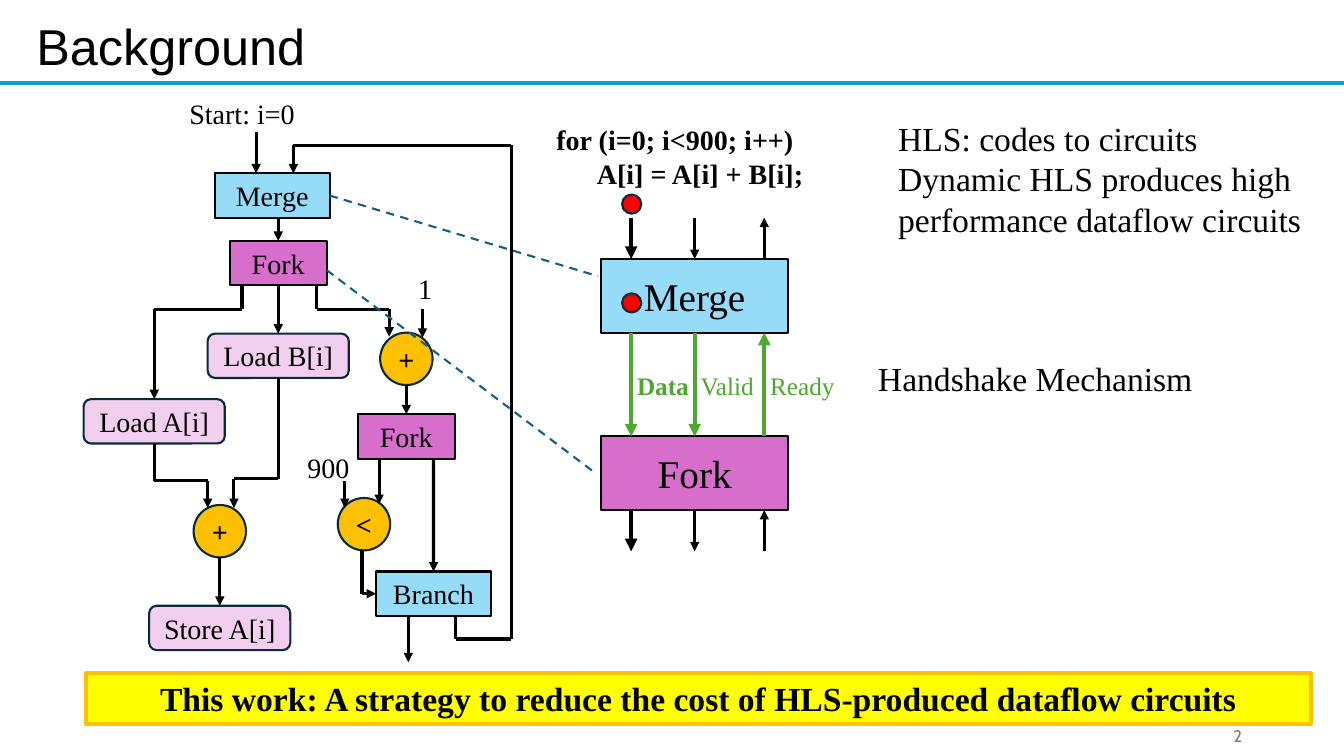
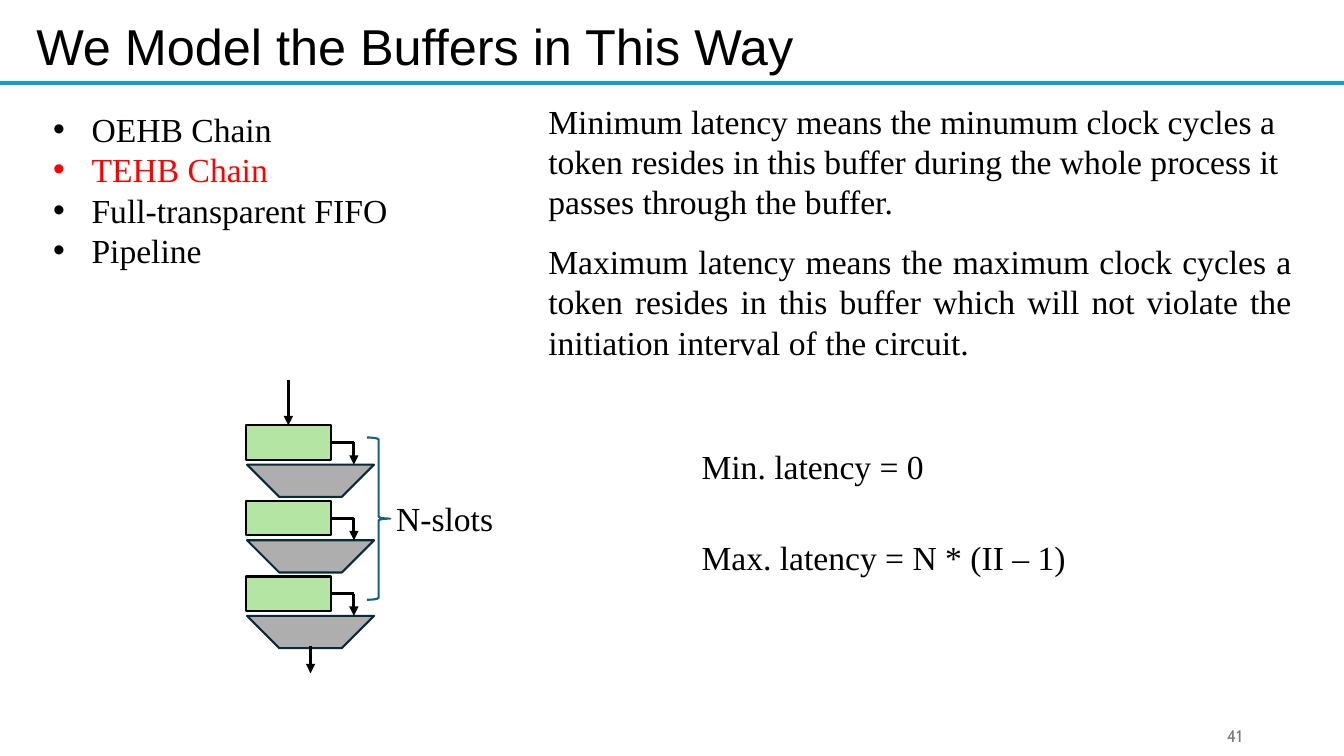
import pptx
import pptx.dml.color
import pptx.enum.dml
import pptx.enum.shapes
import pptx.enum.text
import pptx.oxml.ns
import pptx.util
from lxml import etree

Inches = pptx.util.Inches
Pt = pptx.util.Pt
KIND = pptx.enum.shapes.MSO_SHAPE
ALIGN = pptx.enum.text.PP_ALIGN
ANCHOR = pptx.enum.text.MSO_ANCHOR

# Shared look
SERIF = "Times New Roman"
BLACK, RED, GREEN, GREY = "000000", "FF0000", "4EA72E", "797979"
SKY, PLUM, PINK, GOLD = "96DCF8", "D86ECC", "F2CFEE", "FFC000"
NAVY, TEAL, RULE = "092A39", "156082", "0F9ED5"


def tint(code):
    return pptx.dml.color.RGBColor.from_string(code)


def add_tag(parent, name, **attrs):
    return etree.SubElement(parent, pptx.oxml.ns.qn("a:" + name), attrs)


def write(shape, lines, size=24, font=SERIF, color=BLACK, bold=False,
          align=ALIGN.LEFT, anchor=ANCHOR.TOP, lead=1.2, bullet=False, inset=0.1):
    """Fill a shape with lines, each a string or a (string, colour) pair."""
    frame = shape.text_frame
    frame.word_wrap = True
    frame.auto_size = pptx.enum.text.MSO_AUTO_SIZE.NONE
    frame.vertical_anchor = anchor
    frame.margin_left = frame.margin_right = Inches(inset)
    frame.margin_top = frame.margin_bottom = Inches(inset / 2)
    for i, line in enumerate([lines] if isinstance(lines, str) else lines):
        words, shade = (line, color) if isinstance(line, str) else line
        para = frame.paragraphs[0] if i == 0 else frame.add_paragraph()
        if bullet:
            props = para._p.get_or_add_pPr()
            props.set("marL", str(Inches(0.38)))
            props.set("indent", str(-Inches(0.38)))
            add_tag(props, "buFont", typeface="Arial")
            add_tag(props, "buChar", char="•")
        para.alignment = align
        if lead:
            para.line_spacing = Pt(lead * size)
        run = para.add_run()
        run.text = words
        run.font.name, run.font.size, run.font.bold = font, Pt(size), bold
        run.font.color.rgb = tint(shade)


def label(slide, box, lines, **look):
    shape = slide.shapes.add_textbox(*map(Inches, box))
    write(shape, lines, **look)
    return shape


def block(slide, kind, box, fill, line=BLACK, width=1.5, words=None, **look):
    shape = slide.shapes.add_shape(kind, *map(Inches, box))
    shape.shadow.inherit = False
    if fill:
        shape.fill.solid()
        shape.fill.fore_color.rgb = tint(fill)
    else:
        shape.fill.background()
    shape.line.color.rgb = tint(line)
    shape.line.width = Pt(width)
    if words:
        write(shape, words, align=ALIGN.CENTER, anchor=ANCHOR.MIDDLE, inset=0.02, **look)
    return shape


def route(slide, points, color=BLACK, width=2.25, head=True, dash=False,
          begin=None, end=None):
    """Draw straight runs through points; begin and end are (shape, site)."""
    last = len(points) - 2
    for i, (start, stop) in enumerate(zip(points, points[1:])):
        wire = slide.shapes.add_connector(
            pptx.enum.shapes.MSO_CONNECTOR.STRAIGHT, *map(Inches, start + stop))
        if begin and i == 0:
            wire.begin_connect(*begin)
        if end and i == last:
            wire.end_connect(*end)
        wire.line.color.rgb = tint(color)
        wire.line.width = Pt(width)
        if dash:
            wire.line.dash_style = pptx.enum.dml.MSO_LINE.DASH
        if head and i == last:
            add_tag(wire.line._get_or_add_ln(), "tailEnd", type="triangle")
        add_tag(wire._element.spPr, "effectLst")


def new_slide(deck, title, number):
    """Title, rule and page number."""
    slide = deck.slides.add_slide(deck.slide_layouts[5])
    head = slide.shapes.title
    head.left, head.top, head.width, head.height = map(Inches, (0.26, 0.1, 11.59, 0.71))
    write(head, title, size=36, font="Arial", lead=None)
    route(slide, [(0, 0.82), (13.33, 0.82)], RULE, 3, head=False)
    label(slide, (9.42, 7.1, 3, 0.4), number, size=12, font="Cabin", color=GREY,
          align=ALIGN.RIGHT, anchor=ANCHOR.MIDDLE, lead=None)
    return slide


def circuit(slide, x, y):
    """Dataflow graph of the loop; returns its nodes by name."""
    unit = (KIND.RECTANGLE, 1.14, 0.44, SKY, BLACK)
    split = (KIND.RECTANGLE, 0.96, 0.44, PLUM, BLACK)
    store = (KIND.ROUNDED_RECTANGLE, 1.4, 0.44, PINK, NAVY)
    maths = (KIND.OVAL, 0.52, 0.52, GOLD, NAVY)
    parts = {
        "merge": (unit, 1.33, 0.82, "Merge"),
        "fork": (split, 1.48, 1.49, "Fork"),
        "load_b": (store, 1.26, 2.41, "Load B[i]"),
        "load_a": (store, 0.03, 3.06, "Load A[i]"),
        "step": (maths, 2.97, 2.4, "+"),
        "fork2": (split, 2.75, 3.21, "Fork"),
        "less": (maths, 2.55, 4.04, "<"),
        "branch": (unit, 2.93, 4.77, "Branch"),
        "sum": (maths, 1.12, 4.11, "+"),
        "store": (store, 0.68, 5.11, "Store A[i]"),
    }
    nodes = {}
    for name, (style, dx, dy, words) in parts.items():
        kind, w, h, fill, line = style
        nodes[name] = block(slide, kind, (x + dx, y + dy, w, h), fill, line,
                            words=words, size=20, bold=style is maths)

    for dx, dy, w, words in ((0.98, 0.01, 1.5, "Start: i=0"),
                             (3.25, 1.74, 0.4, "1"), (2.15, 3.52, 0.7, "900")):
        label(slide, (x + dx, y + dy, w, 0.44), words, size=20)

    # Wires: points, joined start, joined end
    wires = [
        ([(1.74, 0.41), (1.74, 0.82)], None, None),
        ([(3.72, 5.21), (3.72, 5.44), (4.27, 5.44), (4.27, 0.54), (2.11, 0.54),
          (2.11, 0.82)], None, None),
        ([(3.25, 5.21), (3.25, 5.67)], None, None),
        ([(1.96, 1.26), (1.96, 1.49)], None, ("fork", 0)),
        ([(1.96, 1.93), (1.96, 2.41)], ("fork", 2), ("load_b", 0)),
        ([(1.6, 1.93), (1.6, 2.17), (0.73, 2.17), (0.73, 3.06)], None, ("load_a", 0)),
        ([(2.34, 1.93), (2.34, 2.17), (3.06, 2.17), (3.06, 2.44)], None, None),
        ([(3.39, 2.17), (3.39, 2.45)], None, None),
        ([(3.23, 2.92), (3.23, 3.21)], None, ("fork2", 0)),
        ([(2.96, 3.65), (2.96, 4.1)], None, None),
        ([(3.5, 3.65), (3.5, 4.77)], None, ("branch", 0)),
        ([(2.62, 3.87), (2.62, 4.14)], None, None),
        ([(2.79, 4.56), (2.79, 4.99), (2.93, 4.99)], None, ("branch", 1)),
        ([(0.73, 3.5), (0.73, 3.87), (1.26, 3.87), (1.26, 4.14)], ("load_a", 2), None),
        ([(1.96, 2.85), (1.96, 3.85), (1.52, 3.85), (1.52, 4.14)], ("load_b", 2), None),
        ([(1.38, 4.63), (1.38, 5.11)], None, ("store", 0)),
    ]
    for points, begin, end in wires:
        route(slide, [(x + dx, y + dy) for dx, dy in points],
              begin=begin and (nodes[begin[0]], begin[1]),
              end=end and (nodes[end[0]], end[1]))
    return nodes


def handshake(slide, x, y):
    """Merge and Fork enlarged, with the three signals between them."""
    merge, fork = [
        block(slide, KIND.RECTANGLE, (x, y + dy, 1.86, 0.73), fill, words=words, size=28)
        for dy, fill, words in ((0.64, SKY, "Merge"), (2.4, PLUM, "Fork"))]
    rows = ((0.23, 0.64, BLACK, None, merge), (1.37, 2.4, GREEN, merge, fork),
            (3.13, 3.54, BLACK, fork, None))
    for top, base, color, above, below in rows:
        for dx, name in ((0.3, "Data"), (0.93, "Valid"), (1.62, "Ready")):
            ends = [(x + dx, y + top), (x + dx, y + base)]
            if name == "Ready":
                ends.reverse()
            mid = name == "Valid"
            wide = color == GREEN or name == "Data"
            route(slide, ends, color, 3 if wide else 2.25,
                  begin=(above, 2) if mid and above else None,
                  end=(below, 0) if mid and below else None)
            if color == GREEN:
                label(slide, (x + dx - 0.04, y + 1.69, 0.95, 0.4), name, size=18,
                      color=GREEN, bold=name == "Data")
    # Tokens
    for dy in (0, 0.98):
        block(slide, KIND.OVAL, (x + 0.21, y + dy, 0.19, 0.19), RED, NAVY)


def chain(slide, x, y, count=3, pitch=0.75):
    """Buffer slots, each followed by a multiplexer."""
    for i in range(count):
        top = y + 0.45 + pitch * i
        slot = block(slide, KIND.RECTANGLE, (x, top, 0.84, 0.34), "B4E5A2")
        mux = block(slide, KIND.TRAPEZOID, (x + 0.01, top + 0.39, 1.26, 0.32),
                    "AEAEAE", NAVY)
        mux.adjustments[0] = 1
        mux.rotation = 180
        if i == 0:
            route(slide, [(x + 0.42, y), (x + 0.42, top)], end=(slot, 0))
        route(slide, [(x + 0.84, top + 0.17), (x + 1.07, top + 0.17),
                      (x + 1.07, top + 0.39)], begin=(slot, 3))
    route(slide, [(x + 0.64, y + 2.64), (x + 0.64, y + 2.91)])
    block(slide, KIND.RIGHT_BRACE, (x + 1.2, y + 0.57, 0.23, 1.61), None, TEAL)
    label(slide, (x + 1.39, y + 1.12, 1.4, 0.5), "N-slots")


def background(deck):
    slide = new_slide(deck, "Background", "2")
    nodes = circuit(slide, 0.8, 0.9)
    label(slide, (5.42, 1.17, 3, 0.77),
          ["for (i=0; i<900; i++)", "      A[i] = A[i] + B[i];"], size=20, bold=True)
    # Zoom lines
    route(slide, [(3.27, 1.94), (5.93, 2.74)], TEAL, 1.5, head=False, dash=True,
          begin=(nodes["merge"], 3))
    route(slide, [(3.24, 2.68), (5.9, 4.69)], TEAL, 1.5, head=False, dash=True)
    handshake(slide, 5.96, 1.93)
    label(slide, (8.81, 1.12, 4.27, 1.31),
          ["HLS: codes to circuits",
           "Dynamic HLS produces high performance dataflow circuits"])
    label(slide, (8.61, 3.5, 3.6, 0.5), "Handshake Mechanism")
    block(slide, KIND.RECTANGLE, (0.85, 6.68, 12.15, 0.5), "FFFF00", GOLD, 3, bold=True,
          words="This work: A strategy to reduce the cost of HLS-produced dataflow circuits")


def buffers(deck):
    slide = new_slide(deck, "We Model the Buffers in This Way", "41")
    label(slide, (0.43, 1.03, 4, 1.72),
          ["OEHB Chain", ("TEHB Chain", RED), "Full-transparent FIFO", "Pipeline"],
          bullet=True)
    label(slide, (5.34, 0.95, 7.8, 1.31),
          "Minimum latency means the minumum clock cycles a token resides in this "
          "buffer during the whole process it passes through the buffer.")
    label(slide, (5.34, 2.34, 7.57, 1.31),
          "Maximum latency means the maximum clock cycles a token resides in this "
          "buffer which will not violate the initiation interval of the circuit.",
          align=ALIGN.JUSTIFY)
    chain(slide, 2.44, 3.77)
    label(slide, (6.86, 4.37, 4.2, 0.5), "Min. latency = 0")
    label(slide, (6.86, 5.28, 4.2, 0.5), "Max. latency = N * (II – 1)")


def main():
    deck = pptx.Presentation()
    deck.slide_width, deck.slide_height = Inches(13.33), Inches(7.5)
    background(deck)
    buffers(deck)
    deck.save("out.pptx")


if __name__ == "__main__":
    main()
